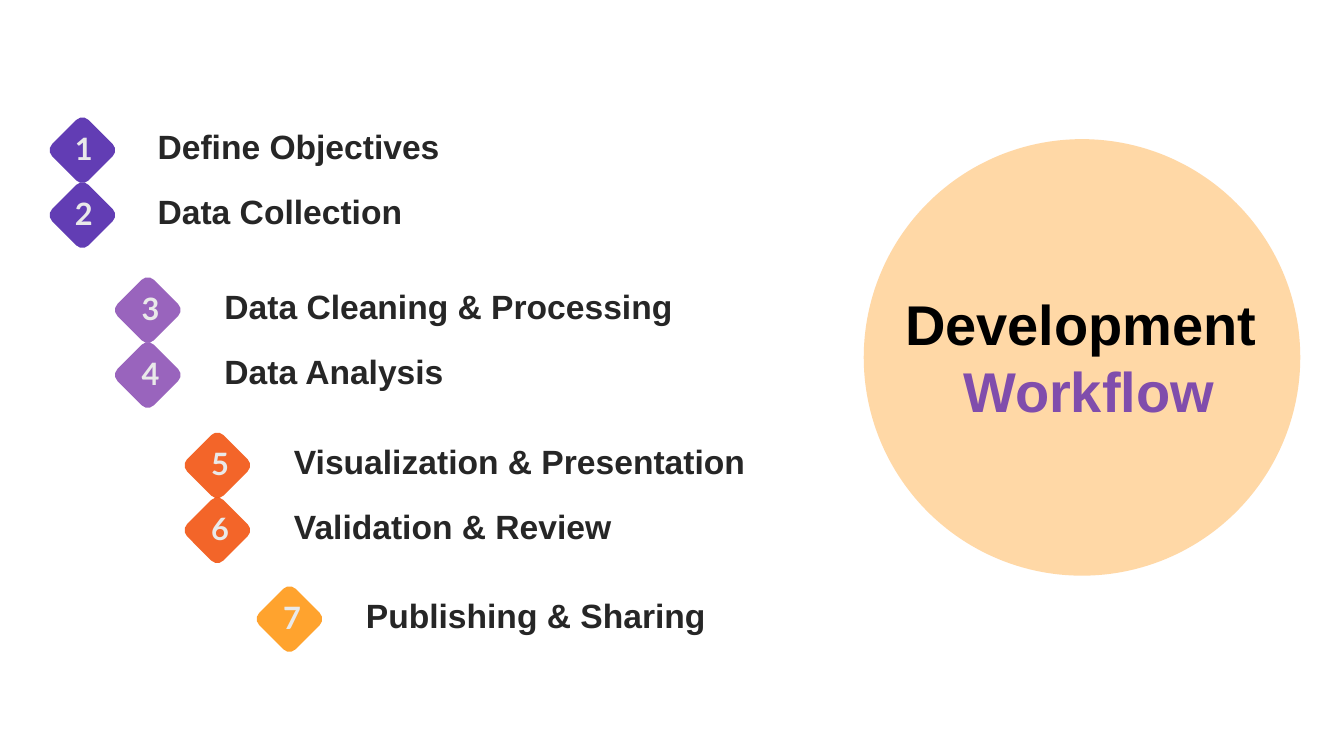
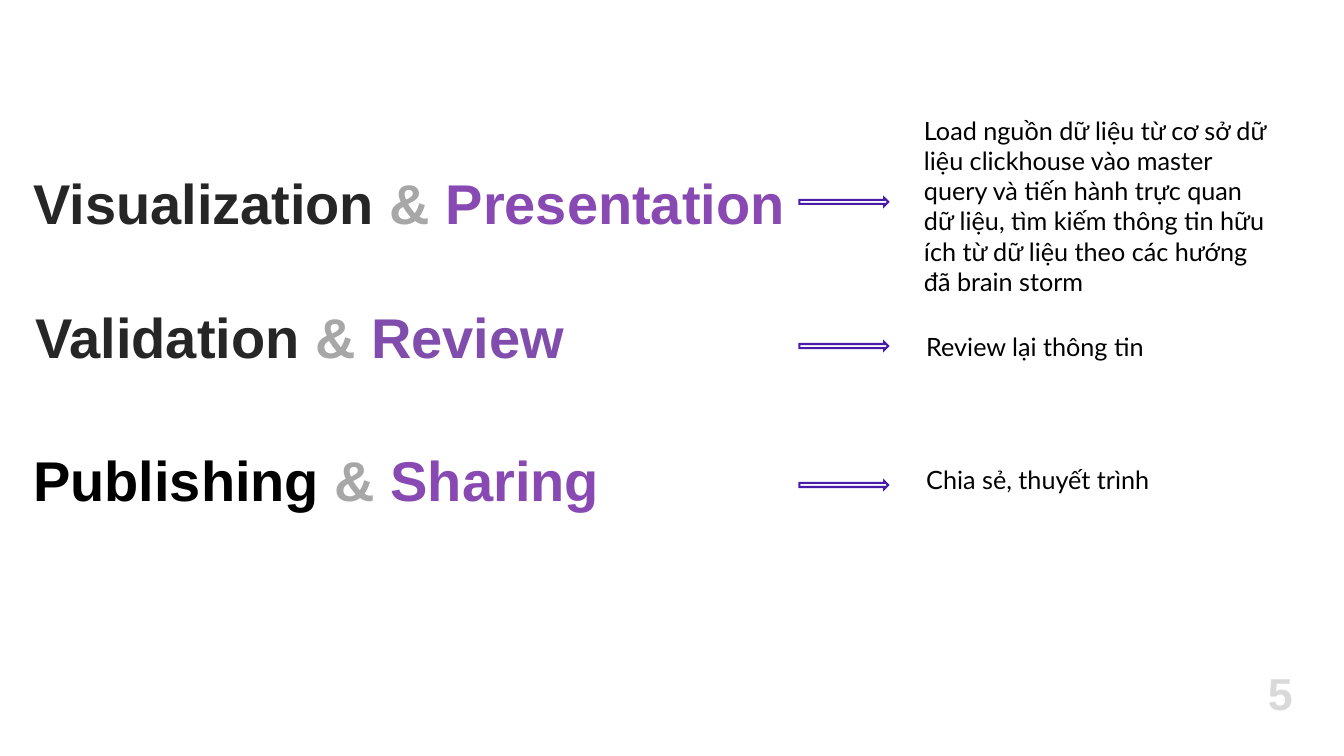
from lxml import etree
from pptx import Presentation
from pptx.dml.color import RGBColor
from pptx.enum.shapes import MSO_SHAPE
from pptx.enum.text import MSO_ANCHOR, PP_ALIGN
from pptx.oxml.ns import qn
from pptx.util import Pt

DIAMOND, CIRCLE, ARROW = MSO_SHAPE.ROUNDED_RECTANGLE, MSO_SHAPE.OVAL, MSO_SHAPE.RIGHT_ARROW
LEFT, CENTER = PP_ALIGN.LEFT, PP_ALIGN.CENTER
TOP, MIDDLE = MSO_ANCHOR.TOP, MSO_ANCHOR.MIDDLE

COLORS = {
    "black": "000000", "ink": "262626", "grey": "A7A7A7", "pale": "E9E9E9",
    "page": "D9D9D9", "white": "FFFFFF", "indigo": "471CA8", "purple": "884AB2",
    "violet": "804DAC", "orange": "F24B04", "amber": "FF930A",
}
STYLES = {
    "title": {"name": "Arial", "size": Pt(40), "bold": True},
    "step": {"name": "Arial", "size": Pt(24), "bold": True},
    "number": {"name": "Lato", "size": Pt(22), "bold": True},
    "note": {"name": "Lato", "size": Pt(18), "bold": False},
    "page": {"name": "Arial", "size": Pt(32), "bold": True},
}

# Diamond left, label left, label top, colour, steps
STEP_GROUPS = [
    (40.5, 109, 86.5, "indigo", ["Define Objectives", "Data Collection"]),
    (87.2, 156.7, 200.7, "purple", ["Data Cleaning & Processing", "Data Analysis"]),
    (136.9, 206.4, 311.6, "orange", ["Visualization & Presentation", "Validation & Review"]),
    (188.4, 257.8, 421.4, "amber", ["Publishing & Sharing"]),
]
STEP_PITCH, DIAMOND_SIZE = 46.4, 36.7
WORKFLOW_TITLE = [[("Development ", "black")], [("Workflow", "violet")]]

# Heading left and top, heading runs, arrow top, note left and top, note height, note
STAGES = [
    (20.2, 116.6, [("Visualization ", "ink"), ("& ", "grey"), ("Presentation", "purple")],
     141.3, 656.4, 78.5, 138.2,
     "Load nguồn dữ liệu từ cơ sở dữ liệu clickhouse vào master query và tiến hành "
     "trực quan dữ liệu, tìm kiếm thông tin hữu ích từ dữ liệu theo các hướng đã "
     "brain storm"),
    (21.7, 212.8, [("Validation ", "ink"), ("& ", "grey"), ("Review", "violet")],
     244.3, 658, 233.3, 29, "Review lại thông tin"),
    (20.2, 315, [("Publishing ", "black"), ("& ", "grey"), ("Sharing", "purple")],
     343.5, 658, 328.3, 29, "Chia sẻ, thuyết trình"),
]
PAGE_NUMBER = "5"


def rgb(name):
    return RGBColor.from_string(COLORS[name])


def add_text(s, box, paragraphs, style, align=LEFT, anchor=TOP):
    """Paragraphs are lists of (text, colour) runs."""
    tf = s.shapes.add_textbox(*map(Pt, box)).text_frame
    tf.word_wrap = True
    tf.vertical_anchor = anchor
    for side in ("left", "right", "top", "bottom"):
        setattr(tf, f"margin_{side}", Pt(3.6))
    for i, runs in enumerate(paragraphs):
        p = tf.add_paragraph() if i else tf.paragraphs[0]
        p.alignment = align
        for text, color in runs:
            r = p.add_run()
            r.text = text
            for key, value in STYLES[style].items():
                setattr(r.font, key, value)
            r.font.color.rgb = rgb(color)


def add_figure(s, kind, box, fill, opacity=100, line=None):
    sp = s.shapes.add_shape(kind, *map(Pt, box))
    sp.shadow.inherit = False
    sp.fill.solid()
    sp.fill.fore_color.rgb = rgb(fill)
    if opacity < 100:
        color = sp.fill._xPr.find(f".//{qn('a:srgbClr')}")
        etree.SubElement(color, qn("a:alpha"), val=str(opacity * 1000))
    if line:
        sp.line.color.rgb = rgb(line)
        sp.line.width = Pt(1.5)
        outline = sp.line._get_or_add_ln()
        etree.SubElement(outline, qn("a:miter"), lim="800000")
    else:
        sp.line.fill.background()
    return sp


def add_step(s, number, text, diamond_x, x, y, color):
    add_text(s, (x, y, 621.4, 36), [[(text, "ink")]], "step")
    sp = add_figure(s, DIAMOND, (diamond_x, y + 2.4, DIAMOND_SIZE, DIAMOND_SIZE), color, 85)
    sp.rotation = 315
    add_text(s, (x - 64.2, y + 2.4, 30, 34), [[(str(number), "pale")]], "number", CENTER)


def build_workflow(s):
    number = 0
    for diamond_x, x, y, color, steps in STEP_GROUPS:
        for row, text in enumerate(steps):
            number += 1
            add_step(s, number, text, diamond_x, x, y + row * STEP_PITCH, color)
    add_figure(s, CIRCLE, (617, 99.4, 311.8, 311.8), "amber", 36)
    add_text(s, (607.6, 203, 340, 104.4), WORKFLOW_TITLE, "title", CENTER)


def build_stages(s):
    add_text(s, (894.6, 471.6, 40, 46), [[(PAGE_NUMBER, "page")]], "page", CENTER, MIDDLE)
    for x, y, heading, arrow_y, note_x, note_y, note_height, note in STAGES:
        add_text(s, (x, y, 576, 55.4), [heading], "title")
        add_figure(s, ARROW, (571, arrow_y, 63.4, 5.8), "white", line="indigo")
        add_text(s, (note_x, note_y, 258.5, note_height), [[(note, "black")]], "note")


def main():
    prs = Presentation()
    prs.slide_width, prs.slide_height = Pt(960), Pt(540)
    for build in (build_workflow, build_stages):
        build(prs.slides.add_slide(prs.slide_layouts[6]))
    prs.save("out.pptx")


if __name__ == "__main__":
    main()
